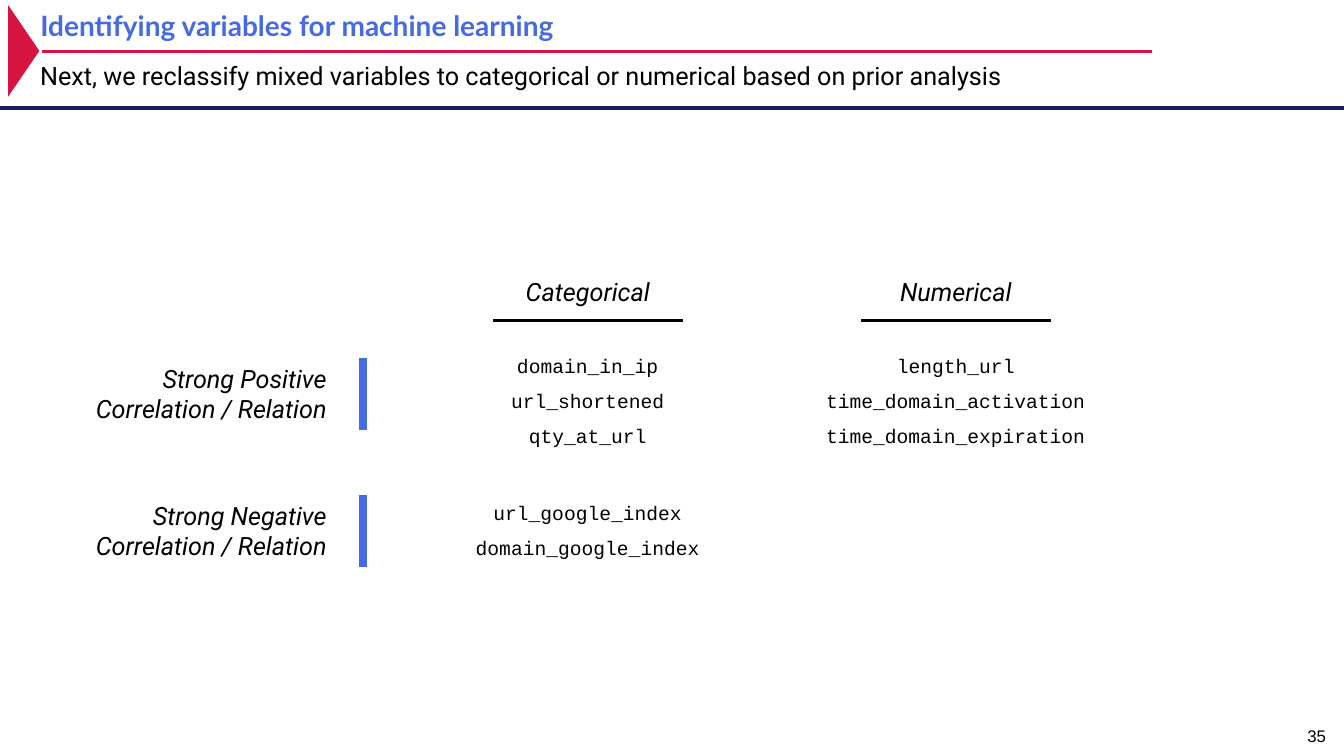
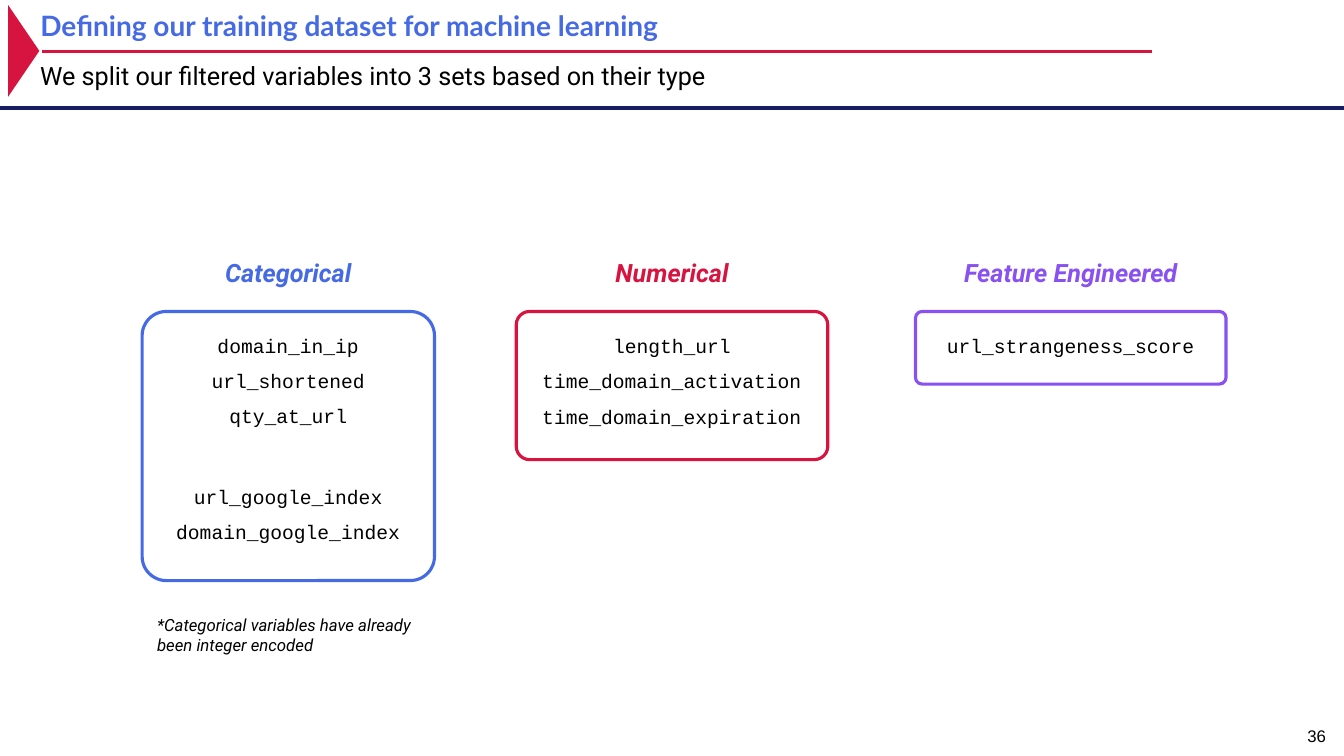
from lxml.etree import SubElement
from pptx import Presentation
from pptx.dml.color import RGBColor
from pptx.enum.shapes import MSO_CONNECTOR, MSO_SHAPE
from pptx.enum.text import MSO_ANCHOR, PP_ALIGN
from pptx.oxml.ns import qn
from pptx.util import Inches, Pt

BLUE = RGBColor(0x45, 0x6A, 0xE4)
RED = RGBColor(0xD7, 0x14, 0x40)
NAVY = RGBColor(0x18, 0x1C, 0x62)
PURPLE = RGBColor(0x89, 0x51, 0xF0)
BLACK = RGBColor(0, 0, 0)
HEADING_FONT, BODY_FONT, CODE_FONT = "Lato", "Roboto", "Courier New"
LINE_GAP, GROUP_GAP = Pt(8.4), Pt(41)

POSITIVE_FLAGS = ["domain_in_ip", "url_shortened", "qty_at_url"]
NEGATIVE_FLAGS = ["url_google_index", "domain_google_index"]
MEASURES = ["length_url", "time_domain_activation", "time_domain_expiration"]


def write(box, lines, size, font, color=BLACK, align=PP_ALIGN.CENTER, bold=False, italic=False):
    frame = box.text_frame
    frame.word_wrap = True
    frame.text = "\n".join(lines)
    for index, para in enumerate(frame.paragraphs):
        para.alignment = align
        if index:
            para.space_before = LINE_GAP
        for span in para.runs:
            span.font.size, span.font.name = Pt(size), font
            span.font.bold, span.font.italic = bold, italic
            span.font.color.rgb = color
    return frame


def draw_line(page, x1, y1, x2, y2, color, width):
    line = page.shapes.add_connector(
        MSO_CONNECTOR.STRAIGHT, Inches(x1), Inches(y1), Inches(x2), Inches(y2))
    line.line.color.rgb, line.line.width = color, Pt(width)
    SubElement(line.element.spPr, qn("a:effectLst"))
    return line


deck = Presentation()
deck.slide_width, deck.slide_height = Inches(13.33), Inches(7.5)
layout = deck.slide_layouts[5]

# Titles, subtitles and page numbers
headers = [
    ("Identifying variables for machine learning",
     "Next, we reclassify mixed variables to categorical or numerical based on prior analysis"),
    ("Defining our training dataset for machine learning",
     "We split our filtered variables into 3 sets based on their type"),
]
for number, (heading, subheading) in enumerate(headers, start=35):
    page = deck.slides.add_slide(layout)
    title = page.shapes.title
    title.left, title.top = Inches(0.3), Inches(-0.09)
    title.width, title.height = Inches(11.13), Inches(0.72)
    write(title, [heading], 20, HEADING_FONT, BLUE, PP_ALIGN.LEFT, bold=True)
    subtitle = page.shapes.add_textbox(Inches(0.3), Inches(0.41), Inches(11.69), Inches(0.72))
    write(subtitle, [subheading], 18, BODY_FONT, align=PP_ALIGN.LEFT)
    for box in (title, subtitle):
        box.text_frame.vertical_anchor = MSO_ANCHOR.MIDDLE
        box.text_frame.paragraphs[0].line_spacing = 0.9
    page_number = page.shapes.add_textbox(Inches(12.73), Inches(7.15), Inches(0.52), Inches(0.3))
    write(page_number, [str(number)], 12, "Arial", align=PP_ALIGN.RIGHT)

variables_page, dataset_page = deck.slides

# Header band, moved to the layout so that both slides share it
marker = variables_page.shapes.add_shape(
    MSO_SHAPE.ISOSCELES_TRIANGLE, Inches(-0.22), Inches(0.35), Inches(0.91), Inches(0.31))
marker.rotation = 90
marker.shadow.inherit = False
marker.fill.solid()
marker.fill.fore_color.rgb = RED
marker.line.fill.background()
band = [marker,
        draw_line(variables_page, -0.38, 1.07, 13.57, 1.07, NAVY, 2.5),
        draw_line(variables_page, 0.42, 0.51, 11.43, 0.51, RED, 2)]
for part in band:
    layout.shapes.element.append(part.element)

# Variables by type (columns) and by correlation (rows)
row_tops = [3.55, 4.91]
columns = [("Categorical", 5.83, [POSITIVE_FLAGS, NEGATIVE_FLAGS]),
           ("Numerical", 9.48, [MEASURES])]
for sign, top in zip(["Positive", "Negative"], row_tops):
    label = variables_page.shapes.add_textbox(Inches(0.48), Inches(top), Inches(2.86), Inches(0.71))
    write(label, [f"Strong {sign} Correlation / Relation"], 18, BODY_FONT,
          align=PP_ALIGN.RIGHT, italic=True)
    draw_line(variables_page, 3.6, top, 3.6, top + 0.72, BLUE, 6)

for name, center, groups in columns:
    label = variables_page.shapes.add_textbox(
        Inches(center - 0.95), Inches(2.69), Inches(1.9), Inches(0.4))
    write(label, [name], 18, BODY_FONT, italic=True)
    draw_line(variables_page, center - 0.94, 3.18, center + 0.94, 3.18, BLACK, 1.5)
    for group, top in zip(groups, [3.46, 4.92]):
        names = variables_page.shapes.add_textbox(
            Inches(center - 1.8), Inches(top), Inches(3.6), Inches(0.34 * len(group)))
        write(names, group, 14, CODE_FONT)

# Three framed variable sets
variable_sets = [
    ("Categorical", BLUE, 1.41, 2.9, 2.67, POSITIVE_FLAGS + NEGATIVE_FLAGS),
    ("Numerical", RED, 5.12, 3.09, 1.47, MEASURES),
    ("Feature Engineered", PURPLE, 9.08, 3.08, 0.72, ["url_strangeness_score"]),
]
for name, color, left, width, height, variables in variable_sets:
    label = dataset_page.shapes.add_textbox(Inches(left), Inches(2.5), Inches(width), Inches(0.4))
    write(label, [name], 18, BODY_FONT, color, bold=True, italic=True)
    frame_box = dataset_page.shapes.add_shape(
        MSO_SHAPE.ROUNDED_RECTANGLE, Inches(left), Inches(3.09), Inches(width), Inches(height))
    frame_box.adjustments[0] = 0.09
    frame_box.shadow.inherit = False
    frame_box.fill.background()
    frame_box.line.color.rgb, frame_box.line.width = color, Pt(2.25)
    frame = write(frame_box, variables, 14, CODE_FONT)
    frame.vertical_anchor = MSO_ANCHOR.TOP
    # Rounded corners push the text area down in proportion to the height
    frame.margin_top = Inches(0.23 - 0.03 * height)
    for para in frame.paragraphs:
        if para.text == NEGATIVE_FLAGS[0]:
            para.space_before = GROUP_GAP

footnote = dataset_page.shapes.add_textbox(Inches(1.46), Inches(6.05), Inches(3.06), Inches(0.51))
write(footnote, ["*Categorical variables have already been integer encoded"], 12, BODY_FONT,
      align=PP_ALIGN.LEFT, italic=True)

deck.save("out.pptx")
